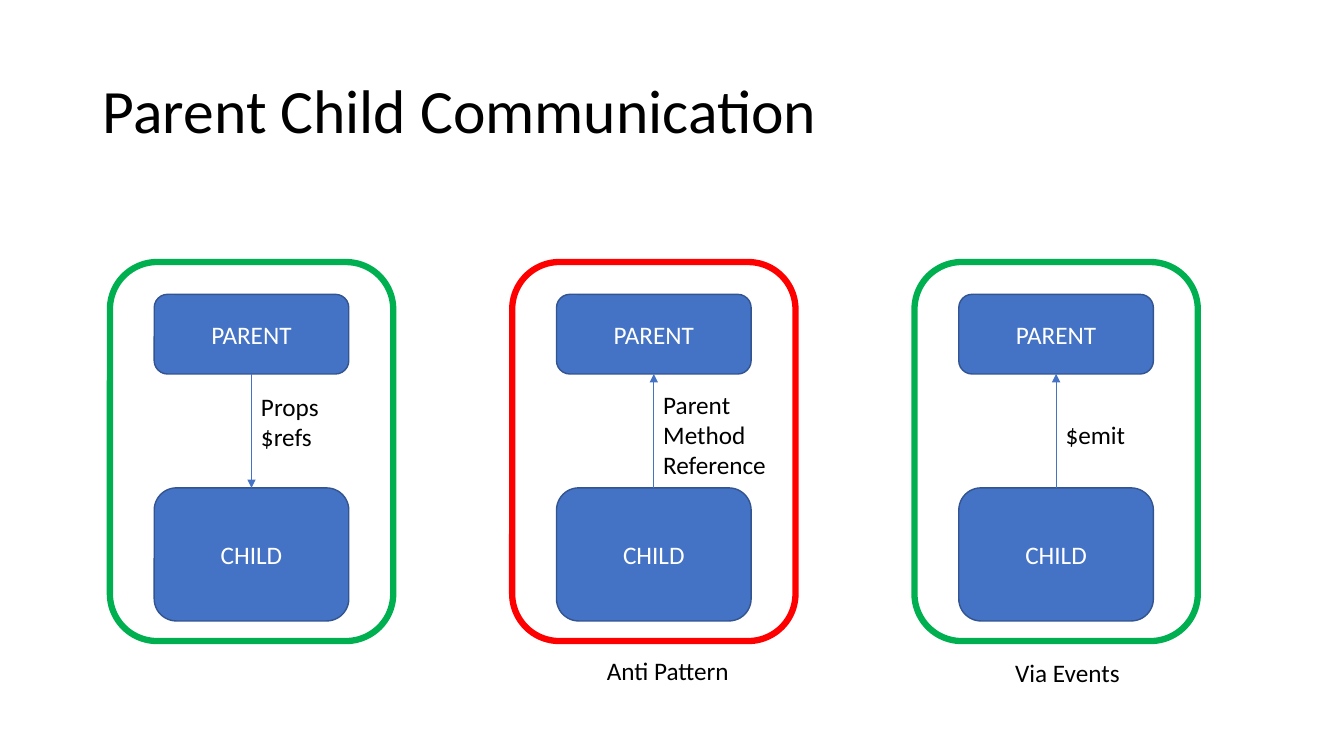
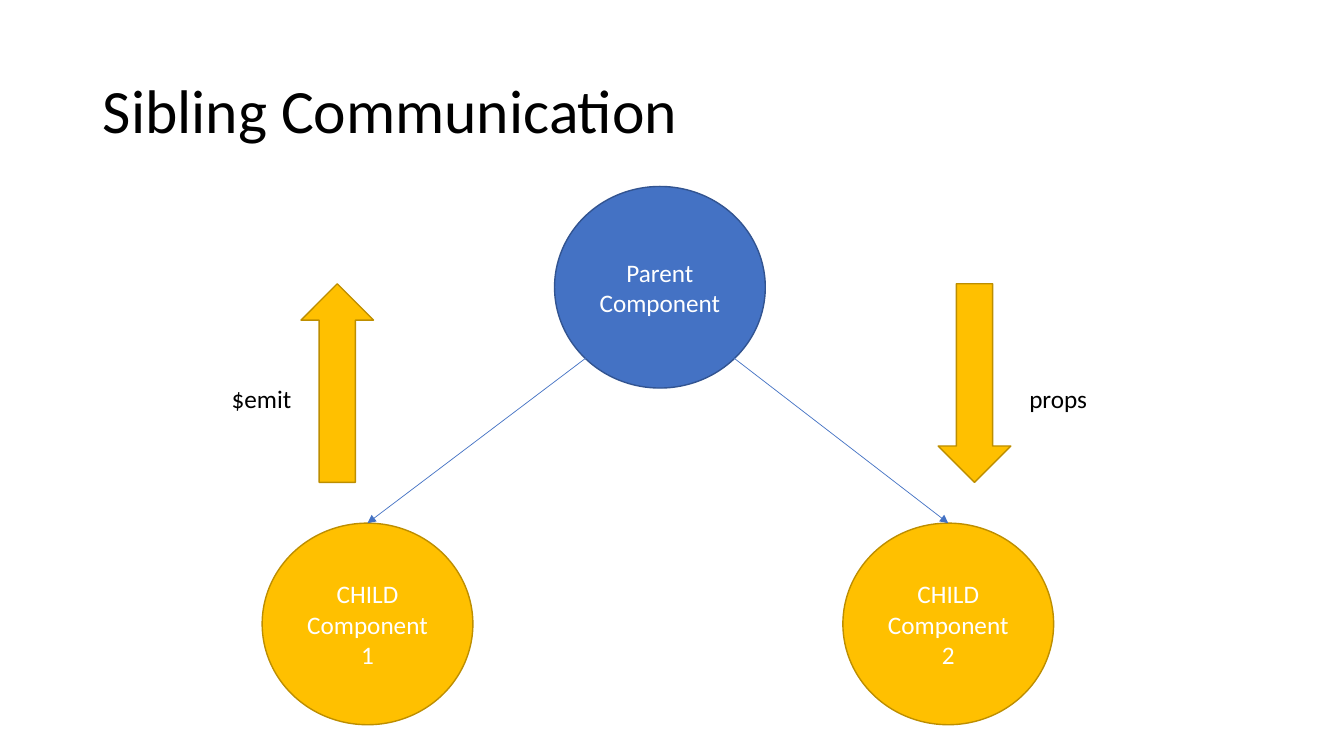
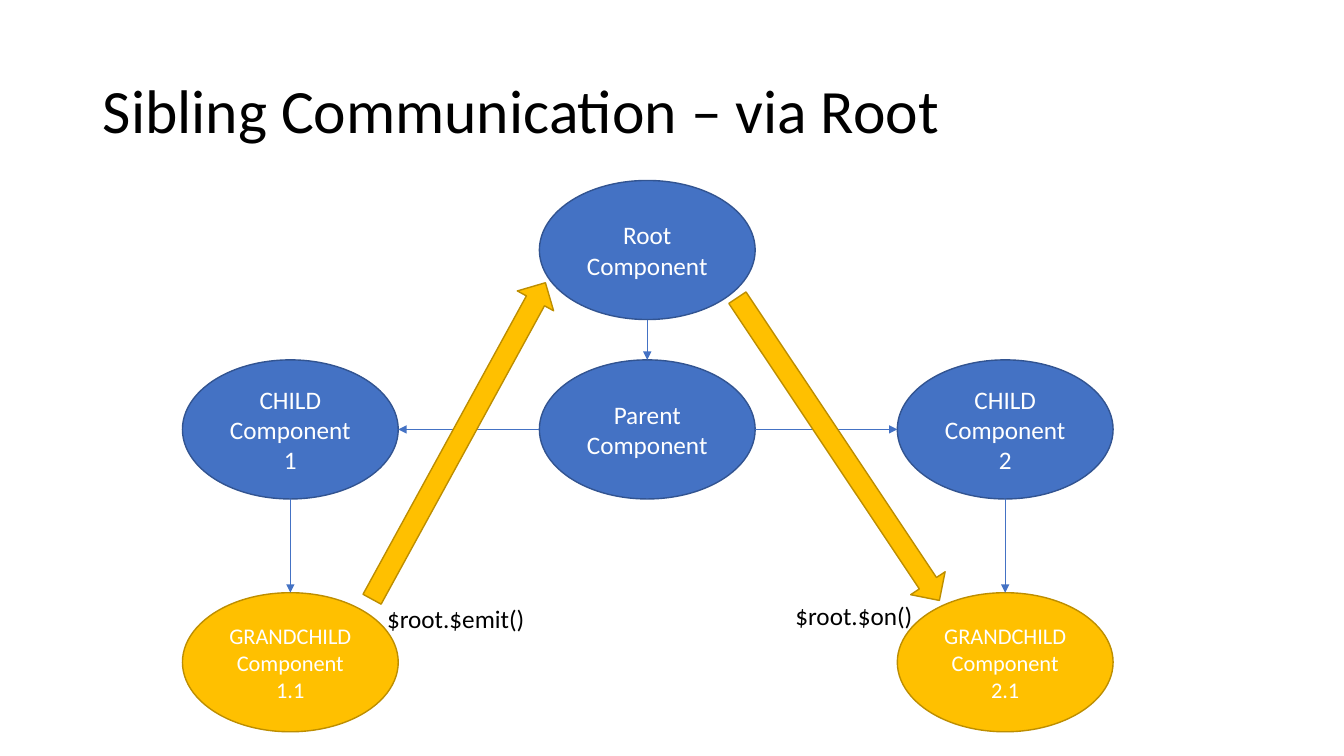
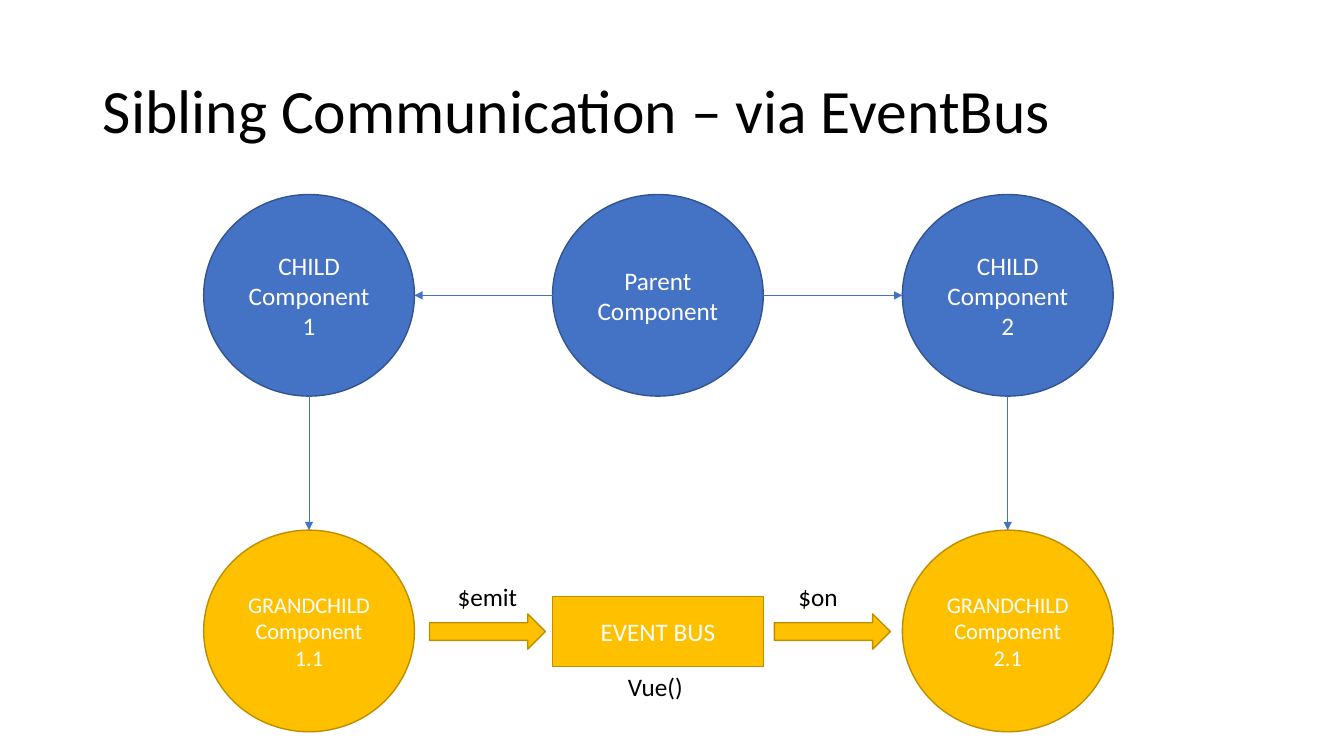
from pptx import Presentation
from pptx.dml.color import RGBColor
from pptx.enum.shapes import MSO_CONNECTOR, MSO_SHAPE as SHAPE
from pptx.enum.text import MSO_ANCHOR as ANCHOR, MSO_AUTO_SIZE as AUTO_SIZE, PP_ALIGN as ALIGN
from pptx.oxml.ns import qn
from pptx.util import Inches, Pt
from lxml.etree import SubElement

FONT = "Calibri"
WHITE, BLACK, GREEN, RED = "FFFFFF", "000000", "00B050", "FF0000"
BLUE = ("4472C4", "325491")
GOLD = ("FFC000", "BD8E00")

# Where a connector may meet a shape, as fractions of its width and height.
SPOTS = {
    "top": (0.5, 0), "left": (0, 0.5), "bottom": (0.5, 1), "right": (1, 0.5),
    "bottom left": (0.15, 0.85), "bottom right": (0.85, 0.85),
}
RECTANGLE_SITES = {"top": 0, "left": 1, "bottom": 2, "right": 3}
ELLIPSE_SITES = {"top": 0}


def color(hex_string):
    return RGBColor.from_string(hex_string)


def write(frame, text, size=18, ink=BLACK, align=ALIGN.LEFT, spacing=None):
    """Fill a text frame, one paragraph for each line of the text."""
    for index, line in enumerate(text.split("\n")):
        para = frame.paragraphs[0] if index == 0 else frame.add_paragraph()
        para.alignment = align
        if spacing:
            para.line_spacing = spacing
        span = para.add_run()
        span.text = line
        span.font.name = FONT
        span.font.size = Pt(size)
        span.font.color.rgb = color(ink)


def spot_on(shape, side):
    across, down = SPOTS[side]
    return (shape.left + round(across * shape.width),
            shape.top + round(down * shape.height))


def site_on(shape, side):
    """Number of the connection site at a side, or None if it cannot be joined."""
    oval = shape.auto_shape_type == SHAPE.OVAL
    return (ELLIPSE_SITES if oval else RECTANGLE_SITES).get(side)


class Sketch:
    """The deck's style and the slide being drawn."""

    def __init__(self):
        self.deck = Presentation()
        self.deck.slide_width, self.deck.slide_height = Inches(13.33), Inches(7.5)
        self.page = None

    def start_page(self, title):
        self.page = self.deck.slides.add_slide(self.deck.slide_layouts[5])
        holder = self.page.shapes.title
        holder.left, holder.top = Inches(0.92), Inches(0.4)
        holder.width, holder.height = Inches(11.5), Inches(1.45)
        frame = holder.text_frame
        frame.auto_size = AUTO_SIZE.NONE
        frame.vertical_anchor = ANCHOR.MIDDLE
        write(frame, title, size=44, spacing=0.9)

    def shape(self, kind, left, top, width, height, tone, text="", size=18, weight=1):
        shape = self.page.shapes.add_shape(
            kind, Inches(left), Inches(top), Inches(width), Inches(height))
        fill, edge = tone
        shape.shadow.inherit = False
        shape.fill.solid()
        shape.fill.fore_color.rgb = color(fill)
        shape.line.color.rgb = color(edge)
        shape.line.width = Pt(weight)
        if text:
            shape.text_frame.vertical_anchor = ANCHOR.MIDDLE
            write(shape.text_frame, text, size=size, ink=WHITE, align=ALIGN.CENTER)
        return shape

    def block_arrow(self, left, top, width, height, turn=0):
        arrow = self.shape(SHAPE.RIGHT_ARROW, left, top, width, height, GOLD)
        arrow.rotation = turn

    def label(self, left, top, width, text):
        height = 0.1 + 0.3 * len(text.split("\n"))
        box = self.page.shapes.add_textbox(
            Inches(left), Inches(top), Inches(width), Inches(height))
        box.text_frame.word_wrap = False
        box.text_frame.auto_size = AUTO_SIZE.SHAPE_TO_FIT_TEXT
        write(box.text_frame, text)

    def connect(self, source, source_side, target, target_side):
        line = self.page.shapes.add_connector(
            MSO_CONNECTOR.STRAIGHT, *spot_on(source, source_side),
            *spot_on(target, target_side))
        for join, shape, side in ((line.begin_connect, source, source_side),
                                  (line.end_connect, target, target_side)):
            site = site_on(shape, side)
            if site is not None:
                join(shape, site)
        line.line.color.rgb = color(BLUE[0])
        line.line.width = Pt(0.5)
        properties = line._element.spPr
        SubElement(properties.find(qn("a:ln")), qn("a:tailEnd"), type="triangle")
        SubElement(properties, qn("a:effectLst"))

    def family(self, columns, top, lower_top, width, height):
        """Parent in the middle column, a child and grandchild on either side."""
        left, middle, right = columns
        parent = self.shape(SHAPE.OVAL, middle, top, width, height, BLUE, "Parent Component")
        for number, column, outward, inward in ((1, left, "left", "right"),
                                                (2, right, "right", "left")):
            child = self.shape(SHAPE.OVAL, column, top, width, height, BLUE,
                               f"CHILD Component\n{number}")
            grandchild = self.shape(SHAPE.OVAL, column, lower_top, width, height, GOLD,
                                    f"GRANDCHILD Component\n{number}.1", size=16)
            self.connect(parent, outward, child, inward)
            self.connect(child, "bottom", grandchild, "top")
        return parent


def draw_parent_child(sketch):
    sketch.start_page("Parent Child Communication")
    panels = (
        (GREEN, True, "Props\n$refs", 3.83, 0.78),
        (RED, False, "Parent\nMethod\nReference", 3.81, 1.23),
        (GREEN, False, "$emit", 4.11, 0.8),
    )
    for index, (edge, downward, text, text_top, text_width) in enumerate(panels):
        left = 1.09 + 3.99 * index
        sketch.shape(SHAPE.ROUNDED_RECTANGLE, left, 2.6, 2.81, 3.76, (WHITE, edge), weight=4.5)
        parent, child = (
            sketch.shape(SHAPE.ROUNDED_RECTANGLE, left + 0.44, top, 1.93, height, BLUE, name)
            for name, top, height in (("PARENT", 2.92, 0.79), ("CHILD", 4.84, 1.32)))
        if downward:
            sketch.connect(parent, "bottom", child, "top")
        else:
            sketch.connect(child, "top", parent, "bottom")
        sketch.label(left + 1.4, text_top, text_width, text)
    sketch.label(5.92, 6.45, 1.43, "Anti Pattern")
    sketch.label(9.97, 6.47, 1.25, "Via Events")


def draw_siblings(sketch):
    sketch.start_page("Sibling Communication")
    parent = sketch.shape(SHAPE.OVAL, 5.5, 1.85, 2.09, 2, BLUE, "Parent Component")
    for number, left, side in ((1, 2.6, "bottom left"), (2, 8.36, "bottom right")):
        child = sketch.shape(SHAPE.OVAL, left, 5.19, 2.09, 2, GOLD,
                             f"CHILD Component\n{number}")
        sketch.connect(parent, side, child, "top")
    sketch.block_arrow(2.36, 3.44, 1.97, 0.72, turn=270)
    sketch.block_arrow(8.68, 3.44, 1.97, 0.72, turn=90)
    sketch.label(2.2, 3.75, 0.8, "$emit")
    sketch.label(10.11, 3.75, 0.78, "props")


def draw_via_root(sketch):
    sketch.start_page("Sibling Communication – via Root")
    width, height = 2.14, 1.38
    parent = sketch.family((1.81, 5.35, 8.9), 3.57, 5.88, width, height)
    root = sketch.shape(SHAPE.OVAL, 5.35, 1.79, width, height, BLUE, "Root Component")
    sketch.connect(root, "bottom", parent, "top")
    sketch.block_arrow(2.76, 4.17, 3.58, 0.41, turn=298.7)
    sketch.block_arrow(6.51, 4.25, 3.61, 0.41, turn=56.3)
    sketch.label(3.74, 5.94, 1.62, "$root.$emit()")
    sketch.label(7.79, 5.91, 1.41, "$root.$on()")


def draw_via_event_bus(sketch):
    sketch.start_page("Sibling Communication – via EventBus")
    sketch.family((2.02, 5.48, 8.95), 1.93, 5.26, 2.09, 2)
    sketch.shape(SHAPE.RECTANGLE, 5.48, 5.92, 2.09, 0.69, GOLD, "EVENT BUS")
    for left in (4.26, 7.68):
        sketch.block_arrow(left, 6.09, 1.15, 0.35)
    sketch.label(4.44, 5.72, 0.8, "$emit")
    sketch.label(7.82, 5.72, 0.6, "$on")
    sketch.label(6.13, 6.61, 0.75, "Vue()")


def main():
    sketch = Sketch()
    for draw in (draw_parent_child, draw_siblings, draw_via_root, draw_via_event_bus):
        draw(sketch)
    sketch.deck.save("out.pptx")


if __name__ == "__main__":
    main()
